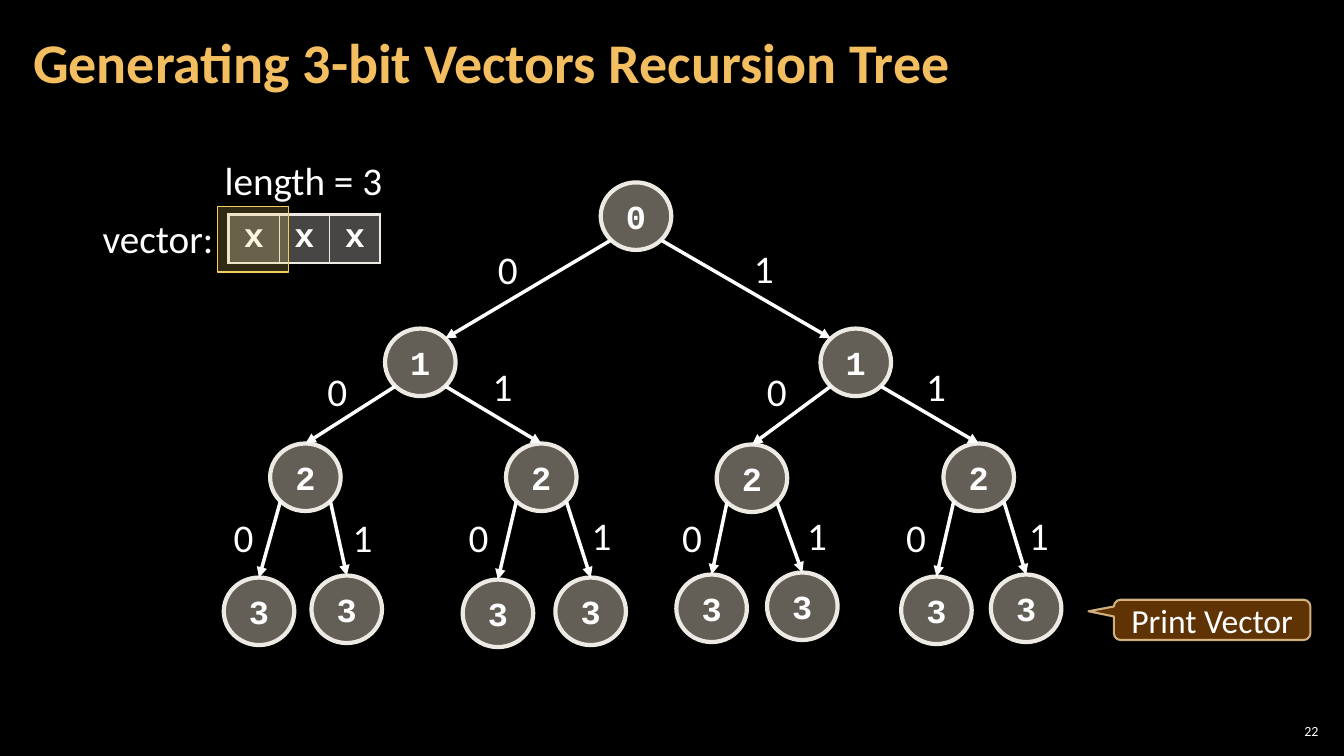
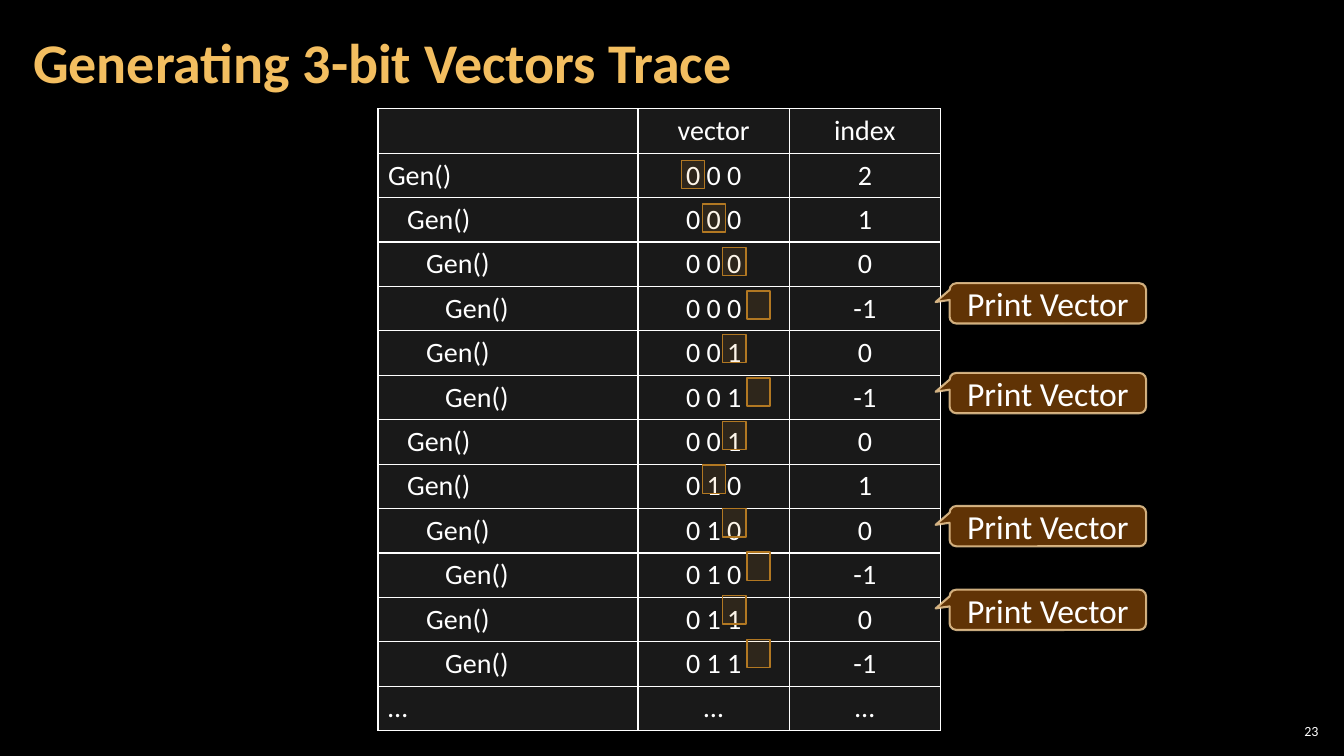
"""Build two slides on generating 3-bit vectors: the recursion tree and the trace."""
import pptx
import pptx.dml.color
import pptx.enum.shapes
import pptx.enum.text
import pptx.oxml
import pptx.oxml.ns
import pptx.util

RGBColor = pptx.dml.color.RGBColor
Shapes = pptx.enum.shapes.MSO_SHAPE
Align = pptx.enum.text.PP_ALIGN
Anchor = pptx.enum.text.MSO_ANCHOR
AutoSize = pptx.enum.text.MSO_AUTO_SIZE
Pt = pptx.util.Pt

BLACK = RGBColor(0x00, 0x00, 0x00)
WHITE = RGBColor(0xFF, 0xFF, 0xFF)
GOLD = RGBColor(0xF3, 0xBE, 0x60)
STONE = RGBColor(0xC7, 0xBF, 0xAC)
IVORY = RGBColor(0xEC, 0xEA, 0xE3)
GREY = RGBColor(0x80, 0x80, 0x80)
BROWN = RGBColor(0x66, 0x36, 0x06)
SAND = RGBColor(0xF8, 0xD4, 0x9E)
YELLOW = RGBColor(0xF3, 0xCD, 0x60)
AMBER = RGBColor(0xF0, 0xA2, 0x2E)
DARK_AMBER = RGBColor(0xB2, 0x78, 0x22)

BODY_FONT = "Calibri"
CODE_FONT = "Courier New"
NODE_WIDTH, NODE_HEIGHT = 7, 6.7
DIAGONAL = 0.5 ** 0.5 / 2

TREE = [
    (59.6, 18.1, None),
    (38.2, 32.6, (48.4, 23.8)), (81.4, 32.6, (73.8, 23.7)),
    (26.8, 44.0, (31.5, 35.9)), (50.2, 44.0, (47.9, 35.5)),
    (71.1, 44.1, (75.1, 35.9)), (93.6, 44.0, (90.9, 35.5)),
    (22.2, 57.3, (22.2, 50.4)), (30.9, 57.1, (34.0, 50.4)),
    (45.9, 57.5, (45.5, 50.4)), (55.1, 57.3, (57.7, 50.2)),
    (67.1, 57.0, (66.7, 50.4)), (76.1, 56.8, (79.1, 50.2)),
    (89.4, 57.2, (88.9, 50.4)), (98.3, 57.0, (101.1, 50.2)),
]
TRACE = [
    (0, "0 0 0", 2), (1, "0 0 0", 1), (2, "0 0 0", 0), (3, "0 0 0", -1),
    (2, "0 0 1", 0), (3, "0 0 1", -1), (1, "0 0 1", 0), (1, "0 1 0", 1),
    (2, "0 1 0", 0), (3, "0 1 0", -1), (2, "0 1 1", 0), (3, "0 1 1", -1),
]
MARKER_COLUMNS = {2: 67.6, 1: 69.7, 0: 71.7, -1: 74.1}
CALLOUT_ROWS = (28.1, 37, 50.2, 58.5)


def cells(count):
    """Turn a count of grid columns or rows, ten to the inch, into a length."""
    return pptx.util.Inches(count / 10)


def set_opacity(properties, query, percent):
    """Make the colour found by the query partly transparent."""
    for colour in properties.xpath(query):
        alpha = colour.makeelement(pptx.oxml.ns.qn("a:alpha"), {"val": str(percent * 1000)})
        colour.append(alpha)


def diagonal_point(corner, across, down):
    """Return the point of a node's outline on the diagonal given by two signs."""
    return (corner[0] + NODE_WIDTH * (0.5 + across * DIAGONAL),
            corner[1] + NODE_HEIGHT * (0.5 + down * DIAGONAL))


class Deck:
    """Hold the style, the presentation and the current slide."""

    def __init__(self, first_number):
        """Start an empty black presentation."""
        self.presentation = pptx.Presentation()
        self.presentation.slide_width = cells(133.33)
        self.presentation.slide_height = cells(75)
        background = self.presentation.slide_master.background.fill
        background.solid()
        background.fore_color.rgb = BLACK
        self.number = first_number
        self.slide = None

    def style(self, paragraph, size, font=BODY_FONT, bold=False, align=Align.LEFT, colour=WHITE):
        """Format a paragraph."""
        paragraph.alignment = align
        paragraph.font.name = font
        paragraph.font.size = Pt(size)
        paragraph.font.bold = bold
        paragraph.font.color.rgb = colour

    def new_slide(self, title):
        """Add a slide with its title and number."""
        self.slide = self.presentation.slides.add_slide(self.presentation.slide_layouts[5])
        shape = self.slide.shapes.title
        shape.left, shape.top = cells(2.1), cells(0.4)
        shape.width, shape.height = cells(104.7), cells(12.1)
        frame = shape.text_frame
        frame.text = title
        frame.auto_size = AutoSize.NONE
        frame.vertical_anchor = Anchor.MIDDLE
        frame.margin_left = frame.margin_right = cells(1.2)
        frame.margin_top = frame.margin_bottom = cells(0.4)
        frame.paragraphs[0].line_spacing = 0.9
        self.style(frame.paragraphs[0], 40, bold=True, colour=GOLD)
        footer = self.text(str(self.number), 126.5, 71.4, 4.7, 2.2, 10, Align.RIGHT)
        footer.word_wrap = True
        footer.auto_size = AutoSize.NONE
        footer.vertical_anchor = Anchor.MIDDLE
        footer.margin_left = footer.margin_right = cells(0.4)
        footer.margin_top = footer.margin_bottom = cells(0.4)
        self.number += 1

    def text(self, words, left, top, width, height=5.7, size=28, align=Align.LEFT):
        """Add a text box and return its frame."""
        box = self.slide.shapes.add_textbox(cells(left), cells(top), cells(width), cells(height))
        frame = box.text_frame
        frame.word_wrap = False
        frame.auto_size = AutoSize.SHAPE_TO_FIT_TEXT
        frame.text = words
        self.style(frame.paragraphs[0], size, align=align)
        return frame

    def shape(self, kind, left, top, width, height, fill, opacity, line, weight):
        """Add a preset shape with a translucent fill."""
        shape = self.slide.shapes.add_shape(
            kind, cells(left), cells(top), cells(width), cells(height))
        shape.shadow.inherit = False
        shape.fill.solid()
        shape.fill.fore_color.rgb = fill
        shape.line.color.rgb = line
        shape.line.width = Pt(weight)
        set_opacity(shape.element.spPr, "a:solidFill/a:srgbClr", opacity)
        return shape

    def node(self, words, left, top):
        """Add a round tree node."""
        shape = self.shape(Shapes.OVAL, left, top, NODE_WIDTH, NODE_HEIGHT, STONE, 50, IVORY, 3)
        frame = shape.text_frame
        frame.word_wrap = False
        frame.vertical_anchor = Anchor.MIDDLE
        frame.text = words
        self.style(frame.paragraphs[0], 24, CODE_FONT, True, Align.CENTER)
        return shape

    def callout(self, left, top, tip=(-0.571, -0.033)):
        """Add a callout that tells where a vector is printed."""
        shape = self.shape(Shapes.ROUNDED_RECTANGULAR_CALLOUT, left, top, 19.5, 4,
                           BROWN, 95, SAND, 1.5)
        set_opacity(shape.element.spPr, "a:ln/a:solidFill/a:srgbClr", 80)
        shape.adjustments[0], shape.adjustments[1] = tip
        frame = shape.text_frame
        frame.vertical_anchor = Anchor.MIDDLE
        frame.text = "Print Vector"
        self.style(frame.paragraphs[0], 24, align=Align.CENTER)

    def arrow(self, start, end):
        """Add a straight white arrow between two grid points."""
        connector = self.slide.shapes.add_connector(
            pptx.enum.shapes.MSO_CONNECTOR.STRAIGHT, *map(cells, start + end))
        connector.line.color.rgb = WHITE
        connector.line.width = Pt(2.5)
        properties = connector.element.spPr
        line = properties.find(pptx.oxml.ns.qn("a:ln"))
        line.append(line.makeelement(pptx.oxml.ns.qn("a:tailEnd"), {"type": "triangle"}))
        properties.append(properties.makeelement(pptx.oxml.ns.qn("a:effectLst"), {}))
        return connector

    def table(self, left, top, widths, row_height, row_count):
        """Add a plain table without banding."""
        frame = self.slide.shapes.add_table(
            row_count, len(widths), cells(left), cells(top),
            cells(sum(widths)), cells(row_height * row_count))
        table = frame.table
        table.first_row = table.horz_banding = False
        for column, width in zip(table.columns, widths):
            column.width = cells(width)
        return table

    def cell(self, cell, words, fill, opacity, line, weights, **font):
        """Fill a cell, with border weights for left, right, top and bottom."""
        cell.text = words
        self.style(cell.text_frame.paragraphs[0], **font)
        cell.fill.solid()
        cell.fill.fore_color.rgb = fill
        properties = cell._tc.tcPr
        set_opacity(properties, "a:solidFill/a:srgbClr", opacity)
        for place, (side, weight) in enumerate(zip("LRTB", weights)):
            border = pptx.oxml.parse_xml(
                f'<a:ln{side} {pptx.oxml.ns.nsdecls("a")} w="{int(Pt(weight))}">'
                f'<a:solidFill><a:srgbClr val="{line}"/></a:solidFill></a:ln{side}>')
            properties.insert(place, border)


def draw_tree(deck):
    """Draw the nodes of the recursion tree, then its arrows and branch digits."""
    nodes = [deck.node(str((place + 1).bit_length() - 1), left, top)
             for place, (left, top, label) in enumerate(TREE)]
    for place, (left, top, label) in enumerate(TREE[1:], 1):
        branch = (place + 1) % 2
        side = 1 if branch else -1
        start = diagonal_point(TREE[(place - 1) // 2], side, 1)
        if place < 3:
            deck.arrow(start, diagonal_point((left, top), -side, -1))
        else:
            arrow = deck.arrow(start, (left + NODE_WIDTH / 2, top))
            arrow.end_connect(nodes[place], 0)
        deck.text(str(branch), *label, 4)


def tree_slide(deck):
    """Build the slide with the recursion tree."""
    deck.new_slide("Generating 3-bit Vectors Recursion Tree")
    draw_tree(deck)
    deck.callout(110.5, 59.5, (-0.629, -0.213))
    vector = deck.table(22.7, 21.3, (5, 5, 5), 4.8, 1)
    for column in range(3):
        left_weight = 1 if column else 2.25
        deck.cell(vector.cell(0, column), "x", IVORY, 30, IVORY, (left_weight, 1, 2.25, 2.25),
                  size=24, font=CODE_FONT, bold=True, align=Align.CENTER)
        vector.cell(0, column).text_frame.paragraphs[0].line_spacing = 0.95
    deck.text("vector:", 9.2, 20.8, 13.1)
    deck.text("length = 3", 21.3, 15, 17.8)
    deck.shape(Shapes.RECTANGLE, 21.6, 20.5, 7, 6.5, YELLOW, 20, YELLOW, 1)


def trace_slide(deck):
    """Build the slide with the trace of the calls."""
    deck.new_slide("Generating 3-bit Vectors Trace")
    calls = [(depth, "Gen()", vector, str(index)) for depth, vector, index in TRACE]
    rows = [(0, "", "vector", "index"), *calls, (0, "…", "…", "…")]
    table = deck.table(37.5, 10.8, (25.8, 15, 15), 4.1, len(rows))
    for row, (depth, *words) in enumerate(rows):
        for column, word in enumerate(words):
            deck.cell(table.cell(row, column), word, GREY, 20, WHITE, (1, 1, 1, 1),
                      size=20, align=Align.CENTER if column else Align.LEFT)
        table.cell(row, 0).margin_left = cells(1 + 1.89 * depth)
    for row, (depth, vector, index) in enumerate(TRACE):
        deck.shape(Shapes.RECTANGLE, MARKER_COLUMNS[index], 15.9 + 4.32 * row, 2.3, 2.8,
                   AMBER, 10, DARK_AMBER, 1)
    for top in CALLOUT_ROWS:
        deck.callout(94.2, top)


def main():
    """Build and save the presentation."""
    deck = Deck(first_number=22)
    tree_slide(deck)
    trace_slide(deck)
    deck.presentation.save("out.pptx")


if __name__ == "__main__":
    main()
